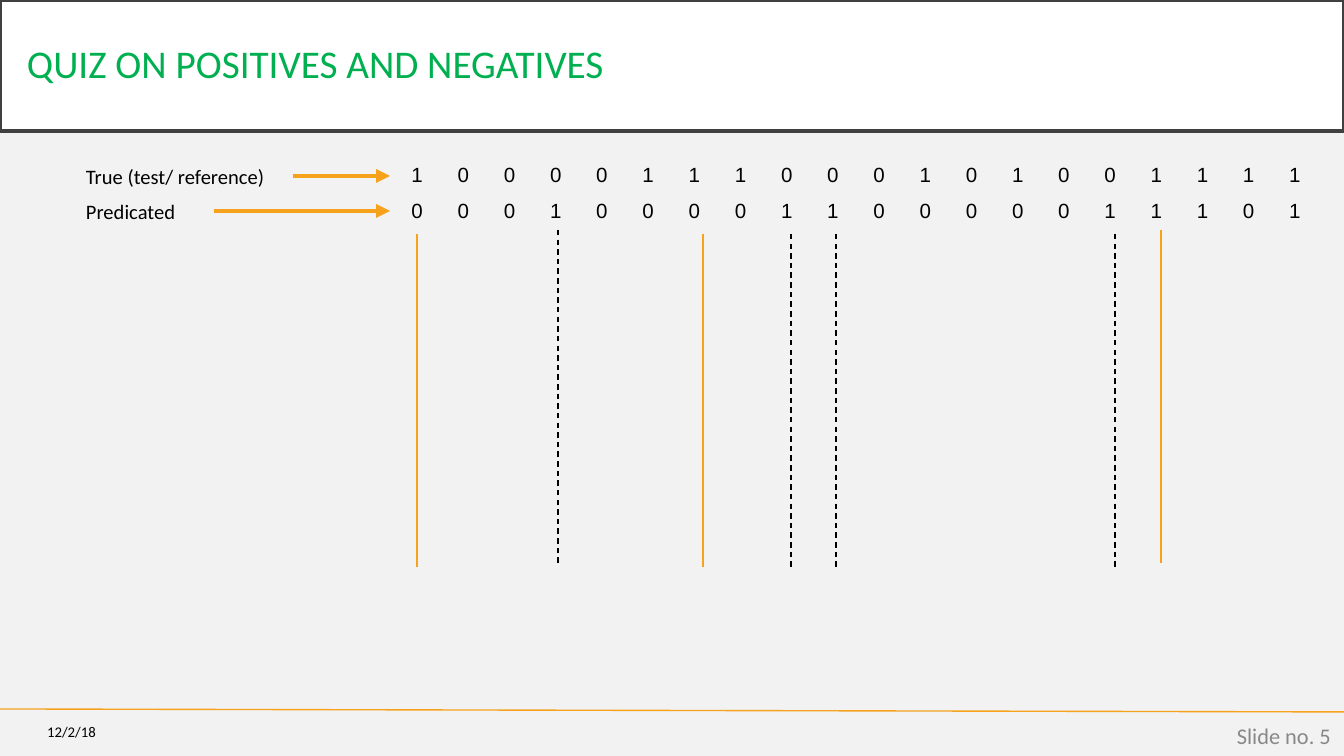
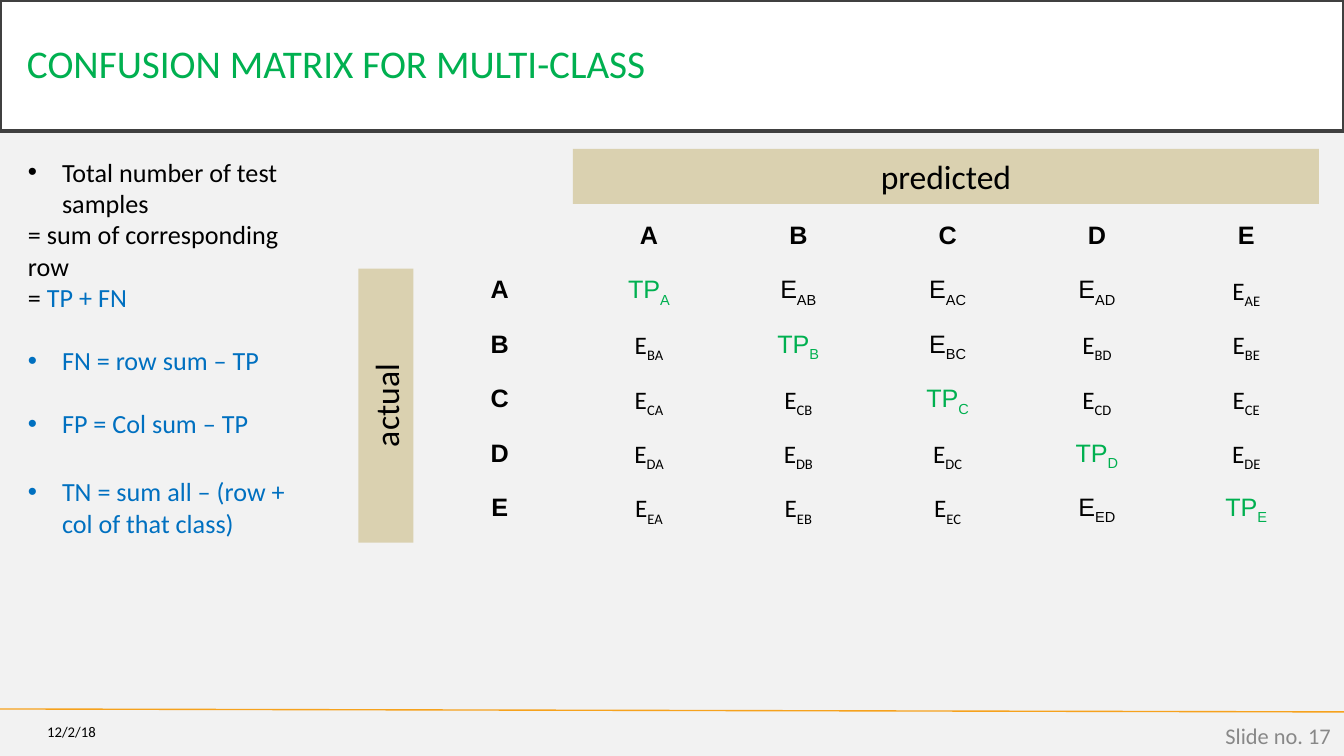
from lxml.etree import SubElement
from pptx import Presentation
from pptx.dml.color import RGBColor
from pptx.enum.dml import MSO_LINE
from pptx.enum.shapes import MSO_CONNECTOR as Connector, MSO_SHAPE as Preset
from pptx.enum.text import MSO_ANCHOR as Anchor, MSO_AUTO_SIZE as AutoSize, PP_ALIGN as Align
from pptx.oxml.ns import qn
from pptx.util import Emu, Pt

GREEN, BLUE, ORANGE, SAND = "00B050", "0070C0", "F6A21D", "DAD1B0"
BLACK, WHITE, DARK, GREY, PAPER = "000000", "FFFFFF", "404040", "888888", "F2F2F2"
NO_TABLE_STYLE = "{2D5ABB26-0587-4C30-8999-92F81FD0307C}"
TITLE_ONLY, TITLE_AND_BODY = 5, 1


def px(value):
    return Emu(round(value * 914400 / 134.4))


def rgb(value):
    return RGBColor.from_string(value)


def set_all(target, values):
    for name, value in values.items():
        setattr(target, name, value)


class Deck:
    """Holds the shared style and the slide being built."""

    def __init__(self):
        self.presentation = Presentation()
        set_all(self.presentation, {"slide_width": px(1344), "slide_height": px(756)})
        background = self.presentation.slide_master.background.fill
        background.solid()
        background.fore_color.rgb = rgb(PAPER)
        self.slide = None

    def new_slide(self, title, number, layout):
        self.slide = self.presentation.slides.add_slide(self.presentation.slide_layouts[layout])
        self.line((0, 709), (1344, 712))
        # Title band
        band = self.slide.shapes.title
        self.place(band, (0, 0, 1344, 131))
        self.paint(band, WHITE)
        band.line.color.rgb = rgb(DARK)
        band.line.width = Pt(2.5)
        self.frame(band, Anchor.MIDDLE, margins=(27, 27))
        self.add_runs(band.text_frame.paragraphs[0], [(title, {"color": GREEN})], 21,
                      line_spacing=0.9)
        # Footer
        self.text("12/2/18", (0, 714, 109, 36), 7.9, align=Align.RIGHT, anchor=Anchor.MIDDLE)
        self.text(f"Slide no. {number}", (1042, 716, 302, 40), 12, GREY,
                  Align.RIGHT, Anchor.MIDDLE)

    def place(self, shape, box):
        set_all(shape, dict(zip(("left", "top", "width", "height"), map(px, box))))

    def paint(self, shape, color):
        shape.fill.solid()
        shape.fill.fore_color.rgb = rgb(color)

    def frame(self, shape, anchor=Anchor.TOP, margins=(13, 7)):
        side, end = map(px, margins)
        set_all(shape.text_frame, {
            "word_wrap": True, "auto_size": AutoSize.NONE, "vertical_anchor": anchor,
            "margin_left": side, "margin_right": side, "margin_top": end, "margin_bottom": end})

    def add_runs(self, paragraph, runs, size, align=Align.LEFT, font="Calibri", **spacing):
        set_all(paragraph, {"alignment": align, **spacing})
        for text, style in runs:
            style = dict(style)
            color, baseline = style.pop("color", BLACK), style.pop("baseline", None)
            run = paragraph.add_run()
            run.text = text
            set_all(run.font, {"name": font, "size": Pt(size), **style})
            run.font.color.rgb = rgb(color)
            if baseline:
                run.font._element.set("baseline", str(baseline))

    def text(self, text, box, size, color=BLACK, align=Align.LEFT, anchor=Anchor.TOP):
        shape = self.slide.shapes.add_textbox(*map(px, box))
        self.frame(shape, anchor)
        self.add_runs(shape.text_frame.paragraphs[0], [(text, {"color": color})], size, align)

    def bar(self, text, box, rotation=0):
        shape = self.slide.shapes.add_shape(Preset.RECTANGLE, *map(px, box))
        shape.shadow.inherit = False
        shape.rotation = rotation
        self.paint(shape, SAND)
        shape.line.fill.background()
        self.frame(shape)
        self.add_runs(shape.text_frame.paragraphs[0], [(text, {})], 18, Align.CENTER)

    def line(self, start, end, color=ORANGE, width=0.75, dash=None, arrow=False):
        line = self.slide.shapes.add_connector(Connector.STRAIGHT, *map(px, start + end))
        line.line.color.rgb = rgb(color)
        set_all(line.line, {"width": Pt(width), "dash_style": dash})
        if arrow:
            SubElement(line.line._get_or_add_ln(), qn("a:tailEnd"), type="triangle")
        SubElement(line._element.spPr, qn("a:effectLst"))

    def table(self, rows, box, size, align):
        """Each cell is a pair: its runs and its font."""
        table = self.slide.shapes.add_table(len(rows), len(rows[0]), *map(px, box)).table
        set_all(table, {"first_row": False, "horz_banding": False})
        table._tbl.tblPr.find(qn("a:tableStyleId")).text = NO_TABLE_STYLE
        for column in table.columns:
            column.width = px(box[2] / len(rows[0]))
        for row, cells in zip(table.rows, rows):
            row.height = px(box[3] / len(rows))
            for cell, (runs, font) in zip(row.cells, cells):
                cell.fill.background()
                self.add_runs(cell.text_frame.paragraphs[0], runs, size, align, font)

    def body(self, items, box, size):
        """Each item is its runs, its bullet colour or None, and the space before."""
        shape = self.slide.placeholders[1]
        self.place(shape, box)
        self.frame(shape)
        frame = shape.text_frame
        for index, (runs, bullet, gap) in enumerate(items):
            paragraph = frame.add_paragraph() if index else frame.paragraphs[0]
            self.add_runs(paragraph, runs, size, space_before=Pt(gap))
            properties = paragraph._p.get_or_add_pPr()
            indent = px(34) if bullet else 0
            properties.set("marL", str(indent))
            properties.set("indent", str(-indent))
            if bullet:
                SubElement(SubElement(properties, qn("a:buClr")), qn("a:srgbClr"), val=bullet)
                SubElement(properties, qn("a:buFont"), typeface="Arial")
                SubElement(properties, qn("a:buChar"), char="•")
            else:
                SubElement(properties, qn("a:buNone"))


def quiz_slide(deck):
    deck.new_slide("QUIZ ON POSITIVES AND NEGATIVES", 5, TITLE_ONLY)
    # True and predicted labels, in two halves
    for left, true, predicted in ((398, "1000011100", "0001000011"),
                                  (860, "0101001111", "0000011101")):
        rows = [[([(digit, {})], "Arial") for digit in digits] for digits in (true, predicted)]
        deck.table(rows, (left, 157, 462, 54), 11, Align.LEFT)
    # Row names with arrows
    for name, top, start, y in (("True (test/ reference)", 157, 293, 176),
                                ("Predicated", 192, 214, 211)):
        deck.text(name, (73, top, 220, 39), 11)
        deck.line((start, y), (390, y), width=2.5, arrow=True)
    # Column markers
    for x, top in ((417, 234), (703, 234), (1161, 230)):
        deck.line((x, top), (x, top + 333))
    for x, top in ((558, 230), (791, 234), (836, 234), (1115, 234)):
        deck.line((x, top), (x, top + 333), BLACK, dash=MSO_LINE.DASH)


def matrix_cell(actual, predicted):
    pair = actual + predicted
    if actual == predicted:
        label, sub, color, font = "TP", actual, GREEN, "Arial"
    else:
        label, sub, color = "E", pair, BLACK
        font = "Arial" if pair in ("AB", "AC", "AD", "BC", "ED") else "Calibri"
    return [(label, {"color": color}), (sub, {"color": color, "baseline": -25000})], font


def matrix_slide(deck):
    deck.new_slide("CONFUSION MATRIX FOR MULTI-CLASS", 17, TITLE_AND_BODY)
    # Matrix
    classes = "ABCDE"
    heads = [([(name, {"bold": True})], "Arial") for name in classes]
    rows = [[([], "Arial")] + heads]
    for actual, head in zip(classes, heads):
        rows.append([head] + [matrix_cell(actual, predicted) for predicted in classes])
    deck.table(rows, (425, 215, 896, 327), 13.5, Align.CENTER)
    # Axis names
    deck.bar("predicted", (573, 149, 746, 55))
    deck.bar("actual", (249, 378, 274, 55), 270)
    # Rules
    blue = {"color": BLUE}
    deck.body([
        ([("Total number of test samples", {})], BLACK, 0),
        ([("= sum of corresponding row", {})], None, 0),
        ([("= ", {}), ("TP + FN", blue)], None, 0),
        ([("FN = row sum – TP", blue)], BLUE, 17),
        ([("FP = Col sum – TP", blue)], BLUE, 17),
        ([("TN = sum all – (row + col of that class)", blue)], BLUE, 19.5),
    ], (15, 149, 317, 461), 14)


def main():
    deck = Deck()
    quiz_slide(deck)
    matrix_slide(deck)
    deck.presentation.save("out.pptx")


if __name__ == "__main__":
    main()
